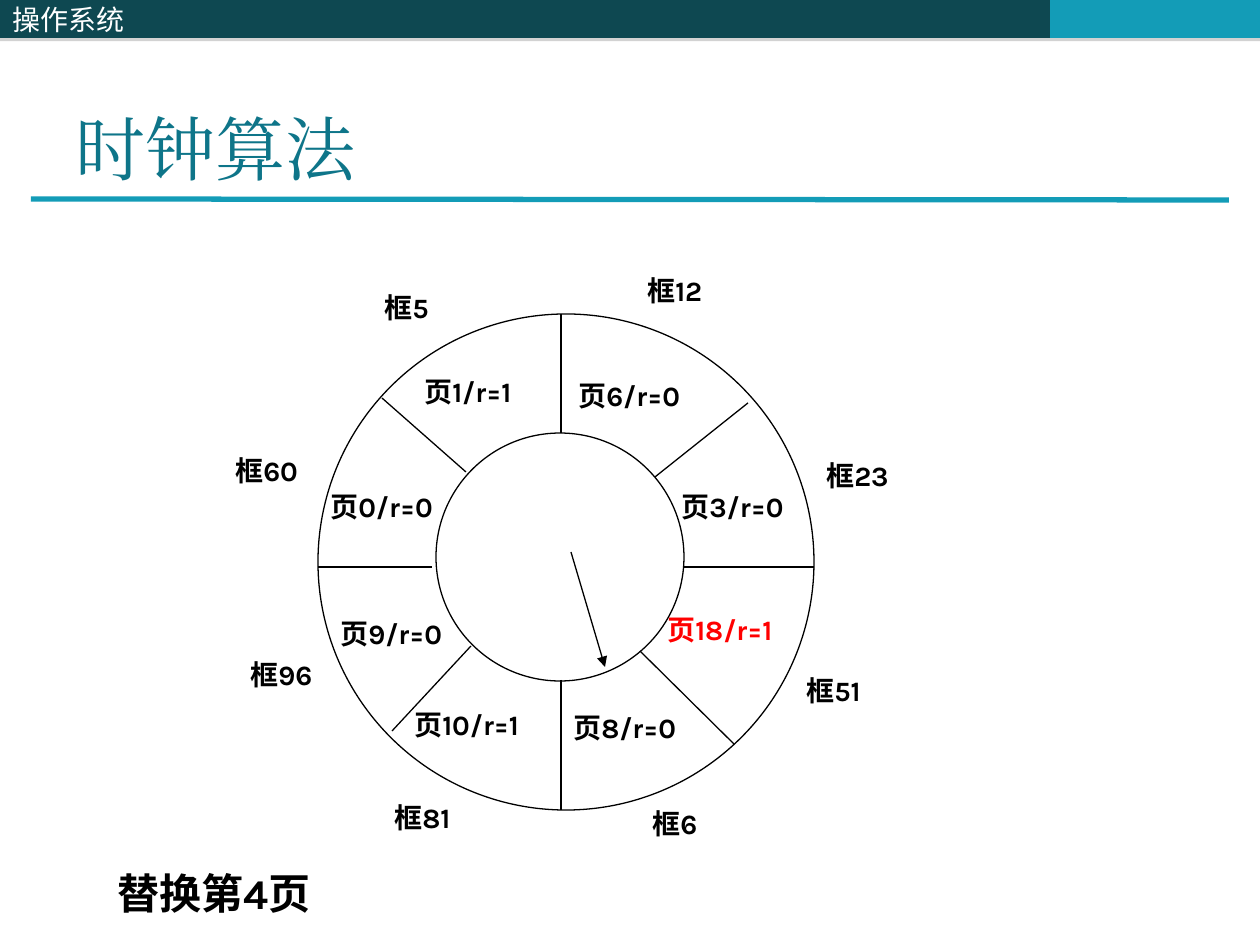
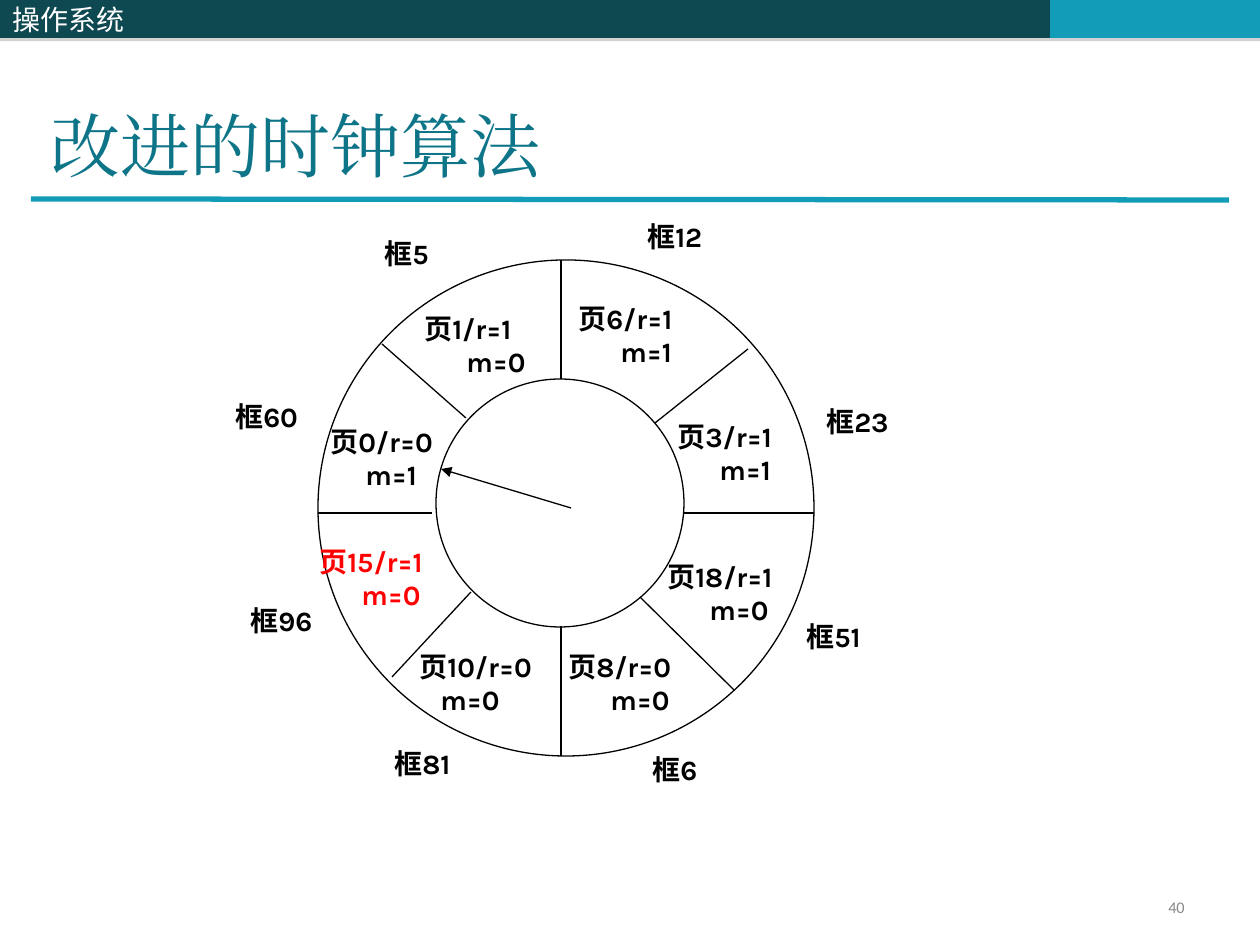
from pptx import Presentation
from pptx.dml.color import RGBColor
from pptx.enum.shapes import MSO_CONNECTOR as CONNECTOR, MSO_SHAPE as SHAPE
from pptx.enum.text import MSO_ANCHOR as ANCHOR, MSO_AUTO_SIZE as AUTO_SIZE, PP_ALIGN as ALIGN
from pptx.oxml.ns import qn
from pptx.util import Emu, Pt
from lxml.etree import SubElement

WHITE = RGBColor(0xFF, 0xFF, 0xFF)
BLACK = RGBColor(0x00, 0x00, 0x00)
RED = RGBColor(0xFF, 0x00, 0x00)
GREY = RGBColor(0x89, 0x89, 0x89)
DARK_TEAL = RGBColor(0x0E, 0x48, 0x51)
BRIGHT_TEAL = RGBColor(0x13, 0x9C, 0xB7)
TITLE_TEAL = RGBColor(0x0E, 0x75, 0x89)

HEADER_FONT = "Noto Sans CJK SC"
TITLE_FONT = "Times New Roman"
LABEL_FONT = "Karla"
NUMBER_FONT = "Calibri"

DIAL_LEFT = 318
DIAL_SIZE = 496
HUB_OFFSET = (118, 119)
HUB_SIZE = 248
LINE_HEIGHT = 34
LABEL_PADDING = 13

SPOKES = [
    (243, 366, 243, 496), (243, 0, 243, 119),
    (0, 253, 114, 253), (366, 253, 496, 253),
    (337, 163, 430, 89), (322, 337, 416, 430),
    (153, 332, 74, 417), (64, 84, 148, 158),
]
FRAMES = [
    ("框12", 317, -47, 89), ("框23", 496, 138, 110),
    ("框51", 476, 353, 110), ("框6", 322, 486, 84),
    ("框81", 64, 480, 89), ("框96", -80, 337, 95),
    ("框60", -95, 133, 89), ("框5", 54, -30, 79),
]
CLOCK_PAGES = [
    ("页6/r=0", 248, 58, 149), ("页3/r=0", 351, 169, 144),
    ("页18/r=1", 337, 292, 159), ("页8/r=0", 243, 390, 144),
    ("页10/r=1", 84, 387, 164), ("页9/r=0", 10, 296, 149),
    ("页0/r=0", 0, 169, 144), ("页1/r=1", 94, 54, 149),
]
IMPROVED_PAGES = [
    ("页6/r=1", 248, 35, 149, "m=1", 42), ("页3/r=1", 347, 153, 144, "m=1", 42),
    ("页18/r=1", 337, 293, 159, "m=0", 42), ("页8/r=0", 238, 383, 144, "m=0", 42),
    ("页10/r=0", 89, 383, 169, "m=0", 21), ("页15/r=1", -11, 278, 169, "m=0", 42),
    ("页0/r=0", 0, 158, 144, "m=1", 35), ("页1/r=1", 94, 45, 149, "m=0", 42),
]


def px(length):
    return Emu(round(length * 914400 / 126))


def box(*lengths):
    return [px(length) for length in lengths]


def add_run(paragraph, text, font_name, size, color, bold=False):
    run = paragraph.add_run()
    run.text = text
    font = run.font
    font.name, font.size, font.bold = font_name, Pt(size), bold
    font.color.rgb = color
    SubElement(run._r.get_or_add_rPr(), qn("a:ea"), typeface=font_name)


def add_band(slide, left, width, color):
    band = slide.shapes.add_shape(SHAPE.RECTANGLE, *box(left, 0, width, 38))
    band.fill.solid()
    band.fill.fore_color.rgb = color
    band.line.fill.background()
    band.shadow.inherit = False
    effects = band._element.spPr.find(qn("a:effectLst"))
    shadow = SubElement(effects, qn("a:outerShdw"), blurRad="0",
                        dist=str(Pt(1.8)), dir="5400000", rotWithShape="0")
    tint = SubElement(shadow, qn("a:srgbClr"), val="808080")
    SubElement(tint, qn("a:alpha"), val="35000")
    return band


def add_line(slide, ends, color, weight, arrow=False):
    line = slide.shapes.add_connector(CONNECTOR.STRAIGHT, *box(*ends))
    line.line.color.rgb = color
    line.line.width = Pt(weight)
    properties = line._element.spPr
    if arrow:
        SubElement(properties.find(qn("a:ln")), qn("a:tailEnd"), type="triangle")
    SubElement(properties, qn("a:effectLst"))


def add_circle(slide, left, top, size):
    circle = slide.shapes.add_shape(SHAPE.OVAL, *box(left, top, size, size))
    circle.fill.solid()
    circle.fill.fore_color.rgb = WHITE
    circle.line.color.rgb = BLACK
    circle.line.width = Pt(0.75)
    circle.shadow.inherit = False


def add_label(slide, text, left, top, width, size=16, color=BLACK, second=None, indent=0):
    lines = 2 if second else 1
    height = LABEL_PADDING + lines * LINE_HEIGHT * size / 16
    frame = slide.shapes.add_textbox(*box(left, top, width, height)).text_frame
    frame.word_wrap = True
    frame.auto_size = AUTO_SIZE.SHAPE_TO_FIT_TEXT
    add_run(frame.paragraphs[0], text, LABEL_FONT, size, color, True)
    if second:
        modified_bit = frame.add_paragraph()
        modified_bit._p.get_or_add_pPr().set("marL", str(px(indent)))
        add_run(modified_bit, second, LABEL_FONT, size, color, True)


def add_page_number(slide, number):
    frame = slide.shapes.add_textbox(*box(903, 892, 294, 34)).text_frame
    frame.word_wrap = True
    frame.vertical_anchor = ANCHOR.MIDDLE
    paragraph = frame.paragraphs[0]
    paragraph.alignment = ALIGN.RIGHT
    paragraph.line_spacing = 0.8
    add_run(paragraph, number, NUMBER_FONT, 9.3, GREY)


def add_titled_slide(deck, text, left, top, width):
    slide = deck.slides.add_slide(deck.slide_layouts[5])
    add_band(slide, 514, 536, DARK_TEAL)
    add_band(slide, 1050, 210, BRIGHT_TEAL)
    add_line(slide, (31, 199, 1229, 200), BRIGHT_TEAL, 3)
    course = add_band(slide, 0, 514, DARK_TEAL).text_frame
    course.vertical_anchor = ANCHOR.MIDDLE
    course.paragraphs[0].alignment = ALIGN.LEFT
    add_run(course.paragraphs[0], "操作系统", HEADER_FONT, 16, WHITE)

    title = slide.shapes.title
    title.left, title.top, title.width, title.height = box(left, top, width, 158)
    frame = title.text_frame
    frame.auto_size = AUTO_SIZE.NONE
    frame.vertical_anchor = ANCHOR.BOTTOM
    frame.paragraphs[0].alignment = ALIGN.LEFT
    add_run(frame.paragraphs[0], text, TITLE_FONT, 40, TITLE_TEAL)
    return slide


def add_clock(slide, top, pages, replaced, hand):
    def place(x1, y1, x2, y2):
        return DIAL_LEFT + x1, top + y1, DIAL_LEFT + x2, top + y2

    add_circle(slide, DIAL_LEFT, top, DIAL_SIZE)
    add_circle(slide, DIAL_LEFT + HUB_OFFSET[0], top + HUB_OFFSET[1], HUB_SIZE)
    for spoke in SPOKES:
        add_line(slide, place(*spoke), BLACK, 0.75)
    for text, x, y, width, *modified in pages:
        color = RED if text == replaced else BLACK
        add_label(slide, text, DIAL_LEFT + x, top + y, width, 16, color, *modified)
    add_line(slide, place(*hand), BLACK, 0.75, arrow=True)
    for text, x, y, width in FRAMES:
        add_label(slide, text, DIAL_LEFT + x, top + y, width)


def main():
    deck = Presentation()
    deck.slide_width, deck.slide_height = box(1260, 945)

    clock = add_titled_slide(deck, "时钟算法", 63, 38, 1134)
    add_clock(clock, 314, CLOCK_PAGES, "页18/r=1", (253, 238, 287, 353))
    add_label(clock, "替换第4页", 105, 861, 253, size=24)

    improved = add_titled_slide(deck, "改进的时钟算法", 38, 35, 1074)
    add_page_number(improved, "40")
    add_clock(improved, 260, IMPROVED_PAGES, "页15/r=1", (253, 248, 123, 209))

    deck.save("out.pptx")


if __name__ == "__main__":
    main()
